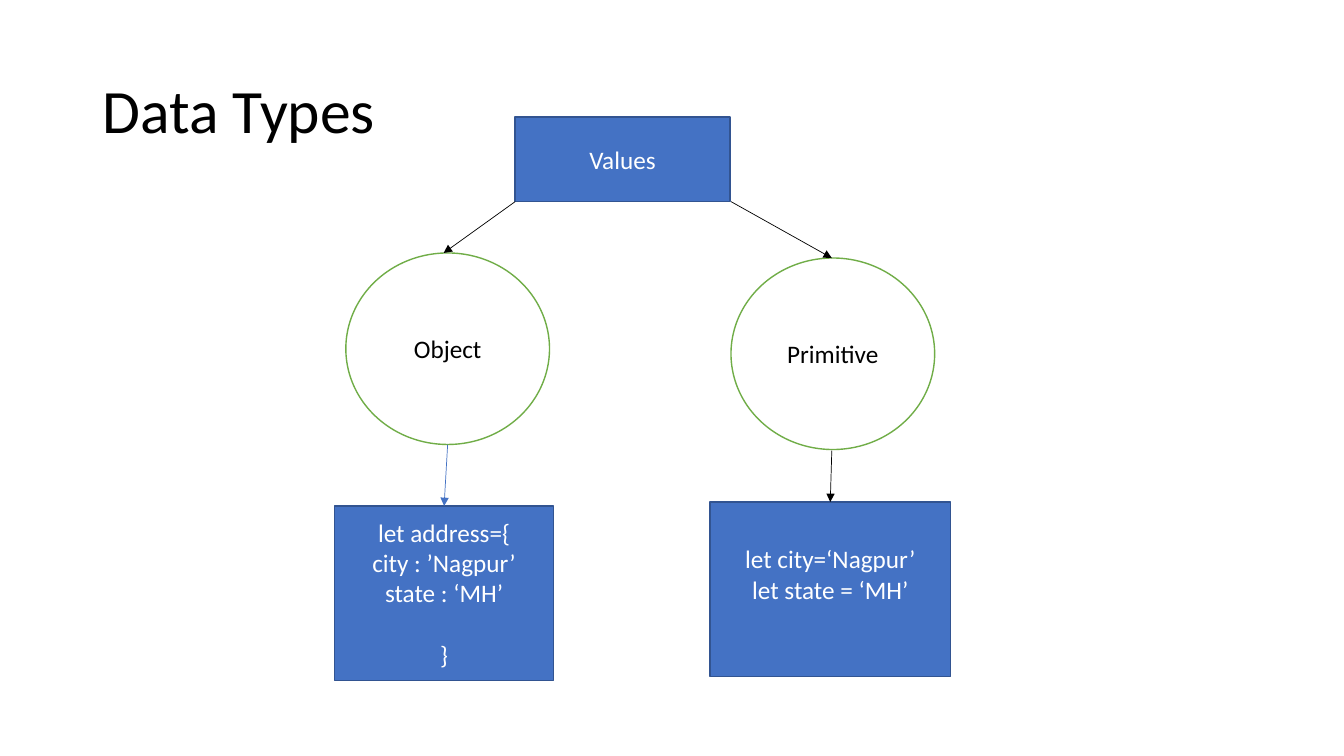
from lxml import etree
from pptx import Presentation
from pptx.dml.color import RGBColor
from pptx.enum import shapes, text
from pptx.oxml import ns
from pptx.util import Inches, Pt

FONT = "Calibri"
BLACK, WHITE = "000000", "FFFFFF"
BLUE, NAVY, GREEN = "4472C4", "325491", "70AD47"
RECTANGLE = shapes.MSO_SHAPE.RECTANGLE
OVAL = shapes.MSO_SHAPE.OVAL
LINE_GAP = 22  # points, one empty text line

# Content
TITLE = ("Data Types", (0.92, 0.4, 11.5, 1.45))
STYLES = {  # outline kind: fill, line, text colour
    RECTANGLE: (BLUE, NAVY, WHITE),
    OVAL: (WHITE, GREEN, BLACK),
}
# name: kind, box, lines as (wording, space before), bottom inset
NODES = {
    "address": (RECTANGLE, (3.32, 5.02, 2.17, 1.73),
                [("let address={", 0), ("city : ’Nagpur’", 0),
                 ("state : ‘MH’", 0), ("}", LINE_GAP)], 0.05),
    "variables": (RECTANGLE, (7.04, 4.98, 2.39, 1.73),
                  [("let city=‘Nagpur’", 0), ("let state = ‘MH’", 0)], 0.35),
    "object": (OVAL, (3.43, 2.51, 2.02, 1.9), [("Object", 0)], 0.05),
    "primitive": (OVAL, (7.25, 2.56, 2.02, 1.9), [("Primitive", 0)], 0.05),
    "values": (RECTANGLE, (5.11, 1.16, 2.13, 0.84), [("Values", 0)], 0.05),
}
# start, end, colour, node whose top the arrow joins
ARROWS = [
    ((5.11, 2), (4.4, 2.51), BLACK, None),
    ((7.25, 2), (8.25, 2.56), BLACK, None),
    ((8.25, 4.47), (8.23, 4.98), BLACK, "variables"),
    ((4.44, 4.41), (4.4, 5.02), BLUE, "address"),
]


def color(value):
    return RGBColor.from_string(value)


def inches(values):
    return [Inches(value) for value in values]


def add_run(paragraph, wording, size, hex_color):
    run = paragraph.add_run()
    run.text = wording
    run.font.name = FONT
    run.font.size = Pt(size)
    run.font.color.rgb = color(hex_color)


def add_title(slide, wording, box):
    frame = slide.shapes.add_textbox(*inches(box)).text_frame
    frame.word_wrap = True
    frame.vertical_anchor = text.MSO_ANCHOR.MIDDLE
    paragraph = frame.paragraphs[0]
    paragraph.line_spacing = 0.9
    add_run(paragraph, wording, 44, BLACK)


def add_node(slide, kind, box, lines, bottom_inset):
    fill, line, text_color = STYLES[kind]
    shape = slide.shapes.add_shape(kind, *inches(box))
    shape.shadow.inherit = False
    shape.fill.solid()
    shape.fill.fore_color.rgb = color(fill)
    shape.line.color.rgb = color(line)
    shape.line.width = Pt(1)
    frame = shape.text_frame
    frame.word_wrap = True
    frame.vertical_anchor = text.MSO_ANCHOR.MIDDLE
    frame.margin_bottom = Inches(bottom_inset)
    for index, (wording, gap) in enumerate(lines):
        paragraph = frame.add_paragraph() if index else frame.paragraphs[0]
        paragraph.alignment = text.PP_ALIGN.CENTER
        paragraph.space_before = Pt(gap)
        add_run(paragraph, wording, 18, text_color)
    return shape


def add_arrow(slide, start, end, hex_color, target):
    connector = slide.shapes.add_connector(
        shapes.MSO_CONNECTOR.STRAIGHT, *inches(start + end))
    if target is not None:
        connector.end_connect(target, 0)
    connector.line.color.rgb = color(hex_color)
    connector.line.width = Pt(0.5)
    # Arrowhead, and no shadow
    properties = connector.element.spPr
    etree.SubElement(properties.find(ns.qn("a:ln")), ns.qn("a:tailEnd"), type="triangle")
    etree.SubElement(properties, ns.qn("a:effectLst"))


def main():
    presentation = Presentation()
    presentation.slide_width = Inches(13.33)
    presentation.slide_height = Inches(7.5)
    slide = presentation.slides.add_slide(presentation.slide_layouts[6])

    add_title(slide, *TITLE)
    nodes = {name: add_node(slide, *node) for name, node in NODES.items()}
    for start, end, hex_color, target in ARROWS:
        add_arrow(slide, start, end, hex_color, nodes.get(target))

    presentation.save("out.pptx")


if __name__ == "__main__":
    main()
